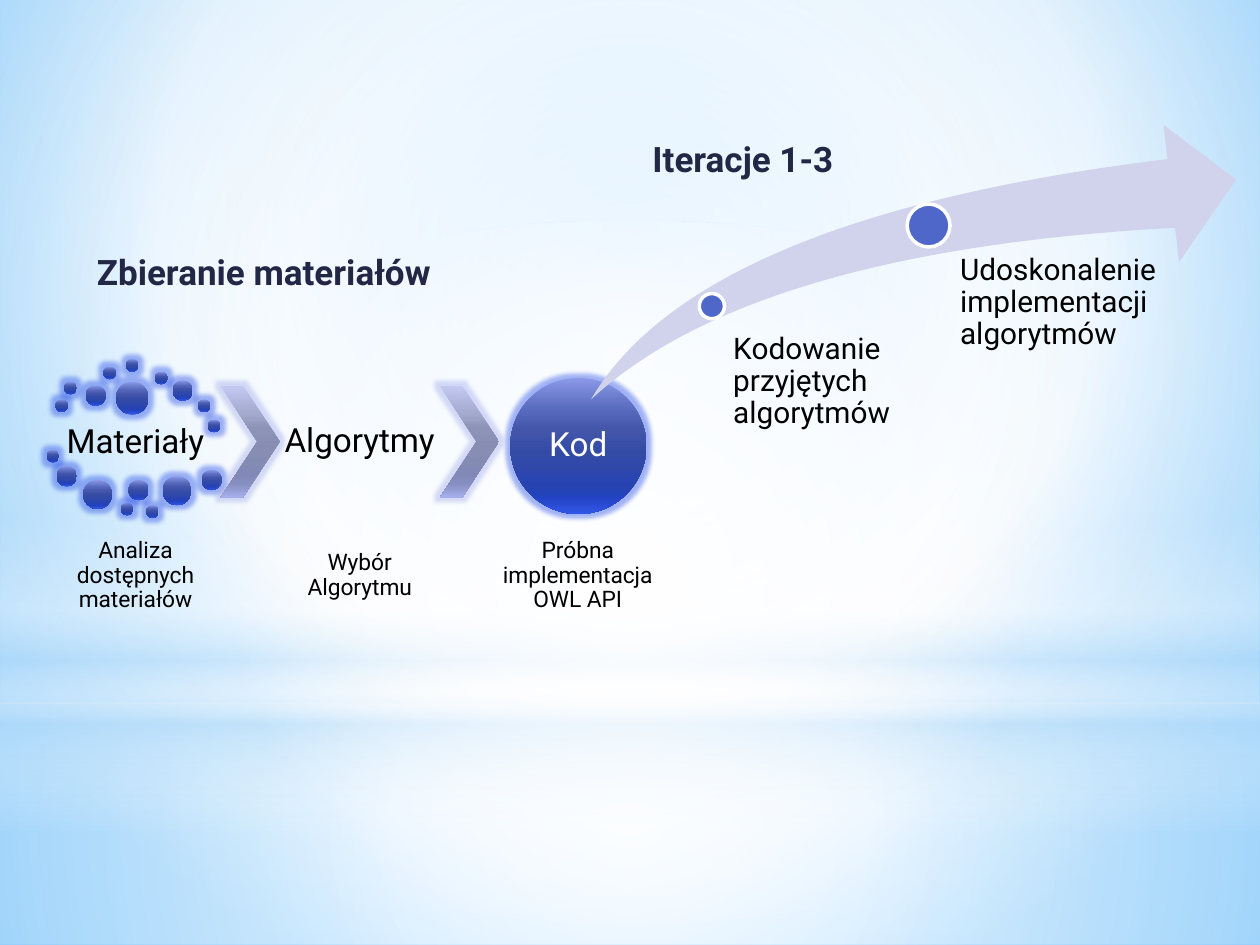
from dataclasses import dataclass

from pptx import Presentation
from pptx.dml.color import RGBColor
from pptx.enum.shapes import MSO_SHAPE
from pptx.enum.text import MSO_ANCHOR, MSO_AUTO_SIZE, PP_ALIGN
from pptx.oxml import parse_xml
from pptx.oxml.ns import nsdecls, qn
from pptx.util import Inches, Pt

# The slide is a grid of 10 columns by 7.5 rows, one inch each
COLS, ROWS = 10, 7.5


@dataclass(frozen=True)
class Theme:
    font: str = "Roboto"
    head: int = 20
    name: int = 19
    step: int = 17
    note: int = 13
    black: str = "000000"
    white: str = "FFFFFF"
    navy: str = "212745"
    blue: str = "4E67C8"
    pale: str = "D0D3EB"
    sky: str = "B4DCFA"
    ball: tuple = ("8B99E8", "5467BA", "4356AA", "344BA6", "2743B1", "2243C2", "3257E9")
    steel: tuple = ("C3C9F1", "A4AACE", "8D93B7", "888EB3", "8389B6", "878FC3", "A7B0ED")
    marks: tuple = (0, 25, 38, 55, 80, 88, 100)


T = Theme()
MID = (50, 50, 50, 50)

# Dots around the first stage: left, top, size
DOTS = (
    (0.44, 3.17, 0.1), (0.51, 3.03, 0.1), (0.68, 3.06, 0.16),
    (0.82, 2.91, 0.1), (1, 2.85, 0.1), (1.23, 2.95, 0.1),
    (1.37, 3.02, 0.16), (1.57, 3.17, 0.1), (1.65, 3.33, 0.1),
    (0.92, 3.03, 0.26), (0.37, 3.57, 0.1), (0.45, 3.7, 0.16),
    (0.66, 3.81, 0.23), (0.96, 3.99, 0.1), (1.02, 3.81, 0.16),
    (1.16, 4.01, 0.1), (1.29, 3.78, 0.23), (1.6, 3.73, 0.16),
)


def grid(*cells):
    return [Inches(cell) for cell in cells]


def shade(fill, root, stops, focus=None):
    """Gradient of (mark, colour, opacity); downward unless a focus is given."""
    fill.gradient()
    old = next(root.iter(qn("a:gradFill")))
    marks = "".join(
        f'<a:gs pos="{pos * 1000}"><a:srgbClr val="{color}">'
        f'<a:alpha val="{alpha * 1000}"/></a:srgbClr></a:gs>'
        for pos, color, alpha in stops
    )
    if focus:
        sides = " ".join(f'{side}="{val * 1000}"' for side, val in zip("ltrb", focus))
        way = f'<a:path path="circle"><a:fillToRect {sides}/></a:path>'
    else:
        way = '<a:lin ang="5400000" scaled="0"/>'
    new = parse_xml(
        f'<a:gradFill {nsdecls("a")} rotWithShape="1"><a:gsLst>{marks}</a:gsLst>{way}</a:gradFill>'
    )
    old.getparent().replace(old, new)


def shape(slide, kind, at, color=None, adj=()):
    item = slide.shapes.add_shape(kind, *grid(*at))
    item.shadow.inherit = False
    item.line.fill.background()
    for i, val in enumerate(adj):
        item.adjustments[i] = val
    if color:
        item.fill.solid()
        item.fill.fore_color.rgb = RGBColor.from_string(color)
    return item


def plate(slide, kind, at, stops, focus=None):
    item = shape(slide, kind, at)
    shade(item.fill, item._element, stops, focus)


def glossy(slide, kind, at, colors, adj=()):
    """Shape with a metallic fill and a soft glow."""
    item = shape(slide, kind, at, adj=adj)
    shade(item.fill, item._element, [(m, c, 100) for m, c in zip(T.marks, colors)])
    glow = parse_xml(
        f'<a:glow {nsdecls("a")} rad="63500"><a:srgbClr val="{colors[-1]}">'
        '<a:alpha val="45000"/></a:srgbClr></a:glow>'
    )
    item._element.spPr.find(qn("a:effectLst")).append(glow)


def pin(slide, at):
    item = shape(slide, MSO_SHAPE.OVAL, at, T.blue)
    item.line.color.rgb = RGBColor.from_string(T.white)
    item.line.width = Pt(2)


def text(slide, at, words, size, color=T.black, bold=False):
    box = slide.shapes.add_textbox(*grid(*at))
    frame = box.text_frame
    frame.text = words
    frame.word_wrap = True
    para = frame.paragraphs[0]
    font = para.runs[0].font
    font.name, font.size, font.bold = T.font, Pt(size), bold
    font.color.rgb = RGBColor.from_string(color)
    return frame, para


def pad(frame, left, rest):
    frame.margin_left = Inches(left)
    frame.margin_top = frame.margin_right = frame.margin_bottom = Inches(rest)


def label(slide, at, words, size, color=T.black, gap=0.02):
    frame, para = text(slide, at, words, size, color)
    pad(frame, gap, gap)
    frame.vertical_anchor = MSO_ANCHOR.MIDDLE
    para.alignment = PP_ALIGN.CENTER
    para.line_spacing = 0.9


def step(slide, at, words, indent):
    frame, para = text(slide, at, words, T.step)
    pad(frame, indent, 0)
    para.line_spacing = 0.9


def head(slide, at, words):
    frame, _ = text(slide, at, words, T.head, T.navy, True)
    frame.auto_size = MSO_AUTO_SIZE.SHAPE_TO_FIT_TEXT


def scene(slide):
    """Sky, horizon and light behind the content."""
    shade(slide.background.fill, slide._element,
          [(0, "9ED5FF", 100), (60, T.white, 100), (100, "5BB9FF", 100)], (20, 10, 20, 60))
    sea = 5.58
    plate(slide, MSO_SHAPE.RECTANGLE, (0, sea, COLS, ROWS - sea),
          [(0, T.white, 91), (37, T.white, 76), (100, T.sky, 79)], MID)
    plate(slide, MSO_SHAPE.RECTANGLE, (0, 0, COLS, sea),
          [(0, T.white, 89), (48, T.white, 62), (100, T.sky, 79)], MID)
    plate(slide, MSO_SHAPE.RECTANGLE, (0, 4.12, COLS, 2.5),
          [(0, T.white, 0), (29, T.white, 30), (45, T.sky, 40),
           (55, T.white, 26), (65, T.sky, 60), (100, T.white, 0)])
    plate(slide, MSO_SHAPE.OVAL, (0, 1.75, COLS, sea),
          [(0, T.white, 100), (56, T.white, 0)], MID)


def stages(slide):
    """Three stages from materials to code."""
    for left, top, size in DOTS:
        glossy(slide, MSO_SHAPE.OVAL, (left, top, size, size), T.ball)
    for left in (1.75, 3.49):
        glossy(slide, MSO_SHAPE.CHEVRON, (left, 3.06, 0.47, 0.89), T.steel, (0.623,))
    glossy(slide, MSO_SHAPE.OVAL, (4.05, 3, 1.08, 1.08), T.ball)
    label(slide, (0.44, 3.3, 1.27, 0.42), "Materiały", T.name, gap=0.03)
    label(slide, (2.22, 3.06, 1.27, 0.89), "Algorytmy", T.name, gap=0.03)
    label(slide, (4.21, 3.16, 0.76, 0.76), "Kod", T.name, T.white, 0)
    notes = (
        (0.44, "Analiza dostępnych materiałów"),
        (2.22, "Wybór Algorytmu"),
        (3.95, "Próbna implementacja OWL API"),
    )
    for left, words in notes:
        label(slide, (left, 4.18, 1.27, 0.78), words, T.note)


def rise(slide):
    """Rising arrow with the two steps of the iterations."""
    shape(slide, MSO_SHAPE.SWOOSH_ARROW, (4.69, 0.99, 5.12, 2.18), T.pale, (0.25, 0.25))
    pin(slide, (5.55, 2.33, 0.2, 0.2))
    step(slide, (5.71, 2.65, 1.87, 1.53), "Kodowanie przyjętych algorytmów", 0.11)
    pin(slide, (7.2, 1.62, 0.34, 0.34))
    step(slide, (7.44, 2.02, 1.8, 1.16), "Udoskonalenie implementacji algorytmów", 0.18)


def main():
    deck = Presentation()
    deck.slide_width, deck.slide_height = grid(COLS, ROWS)
    slide = deck.slides.add_slide(deck.slide_layouts[6])
    scene(slide)
    stages(slide)
    rise(slide)
    head(slide, (0.67, 1.94, 2.99, 0.44), "Zbieranie materiałów")
    head(slide, (5.08, 1.04, 2.05, 0.44), "Iteracje 1-3")
    deck.save("out.pptx")


if __name__ == "__main__":
    main()
